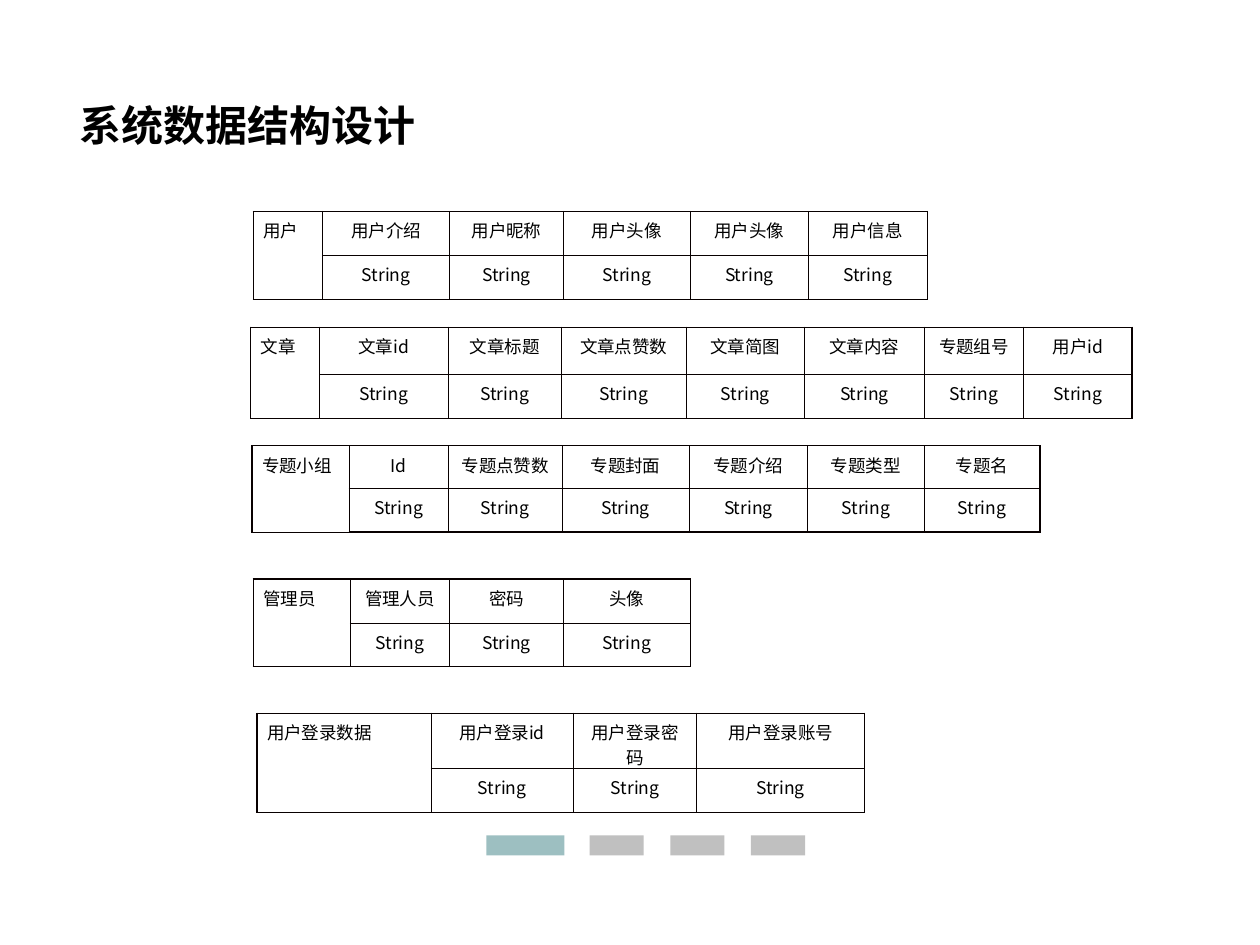
from lxml.etree import SubElement
from pptx import Presentation
from pptx.dml.color import RGBColor
from pptx.enum.shapes import MSO_SHAPE as SHAPE
from pptx.enum.text import MSO_AUTO_SIZE as AUTO, PP_ALIGN as ALIGN
from pptx.oxml.ns import qn
from pptx.util import Inches, Pt

COLORS = {"text": "000000", "border": "080000", "active": "9DBFC1", "idle": "C0C0C0"}
CJK = "Noto Sans CJK SC"
WIDTH, HEIGHT = Inches(10), Inches(7.5)
INNER, OUTER = 0.45, 0.75
ENTITIES = [
    ("用户", ["用户介绍", "用户昵称", "用户头像", "用户头像", "用户信息"],
     (20.1, 22.36), [5.5, 10.1, 9, 10.1, 9.35, 9.45], [4.65, 4.65]),
    ("文章", ["文章id", "文章标题", "文章点赞数", "文章简图", "文章内容", "专题组号", "用户id"],
     (19.9, 34.62), [5.45, 10.2, 9, 9.9, 9.4, 9.5, 7.9, 8.6], [5, 4.65]),
    ("专题小组", ["Id", "专题点赞数", "专题封面", "专题介绍", "专题类型", "专题名"],
     (20, 47.15), [7.7, 7.9, 9, 10.1, 9.4, 9.25, 9.2], [4.55, 4.6]),
    ("管理员", ["管理人员", "密码", "头像"],
     (20.1, 61.27), [7.7, 7.9, 9, 10.1], [4.65, 4.65]),
    ("用户登录数据", ["用户登录id", "用户登录密码", "用户登录账号"],
     (20.4, 75.47), [13.8, 11.3, 9.8, 13.3], [4.6, 4.7]),
]


def px(share):
    return int(WIDTH * share / 100)


def py(share):
    return int(HEIGHT * share / 100)


def write(tf, text, size=10, font=CJK, bold=False, align=ALIGN.LEFT, color="text"):
    p = tf.paragraphs[0]
    p.alignment = align
    r = p.add_run()
    r.text = text
    r.font.size = Pt(size)
    r.font.name = font
    r.font.bold = bold
    r.font.color.rgb = RGBColor.from_string(COLORS[color])
    SubElement(r.font._element, qn("a:ea"), typeface=CJK)


def set_borders(cell, widths):
    tc_pr = cell._tc.get_or_add_tcPr()
    for i, (side, width) in enumerate(widths.items()):
        ln = SubElement(tc_pr, qn(f"a:ln{side}"), w=str(int(Pt(width))))
        fill = SubElement(ln, qn("a:solidFill"))
        SubElement(fill, qn("a:srgbClr"), val=COLORS["border"])
        tc_pr.insert(i, ln)


def add_title(s, text):
    sp = s.shapes.add_textbox(px(5.3), py(9.87), px(33.4), py(6.67))
    tf = sp.text_frame
    tf.word_wrap = True
    tf.auto_size = AUTO.SHAPE_TO_FIT_TEXT
    write(tf, text, size=24, font="Arial", bold=True)


def add_entity(s, name, fields, origin, cols, rows):
    x, y = origin
    table = s.shapes.add_table(len(rows), len(cols), px(x), py(y),
                               px(sum(cols)), py(sum(rows))).table
    table.first_row = table.horz_banding = False
    for col, share in zip(table.columns, cols):
        col.width = px(share)
    for row, share in zip(table.rows, rows):
        row.height = py(share)
    table.cell(0, 0).merge(table.cell(1, 0))
    last = len(cols) - 1
    for i, texts in enumerate([[name] + fields, [""] + ["String"] * len(fields)]):
        for j, text in enumerate(texts):
            cell = table.cell(i, j)
            cell.margin_left = cell.margin_right = Inches(0.08)
            cell.fill.background()
            set_borders(cell, {"L": INNER if j else OUTER,
                               "R": OUTER if j == last else INNER,
                               "T": INNER if i else OUTER,
                               "B": OUTER if i and j else INNER})
            if text:
                write(cell.text_frame, text, align=ALIGN.CENTER if j else ALIGN.LEFT)


def add_bar(s, x, width, color):
    sp = s.shapes.add_shape(SHAPE.RECTANGLE, px(x), py(88.4), px(width), py(2.13))
    sp.shadow.inherit = False
    sp.fill.solid()
    sp.fill.fore_color.rgb = RGBColor.from_string(COLORS[color])
    sp.line.fill.background()


def main():
    prs = Presentation()
    prs.slide_width, prs.slide_height = WIDTH, HEIGHT
    s = prs.slides.add_slide(prs.slide_layouts[6])
    add_bar(s, 38.6, 6.2, "active")
    for i in range(3):
        add_bar(s, 46.8 + 6.4 * i, 4.3, "idle")
    add_title(s, "系统数据结构设计")
    for entity in ENTITIES:
        add_entity(s, *entity)
    prs.save("out.pptx")


if __name__ == "__main__":
    main()
